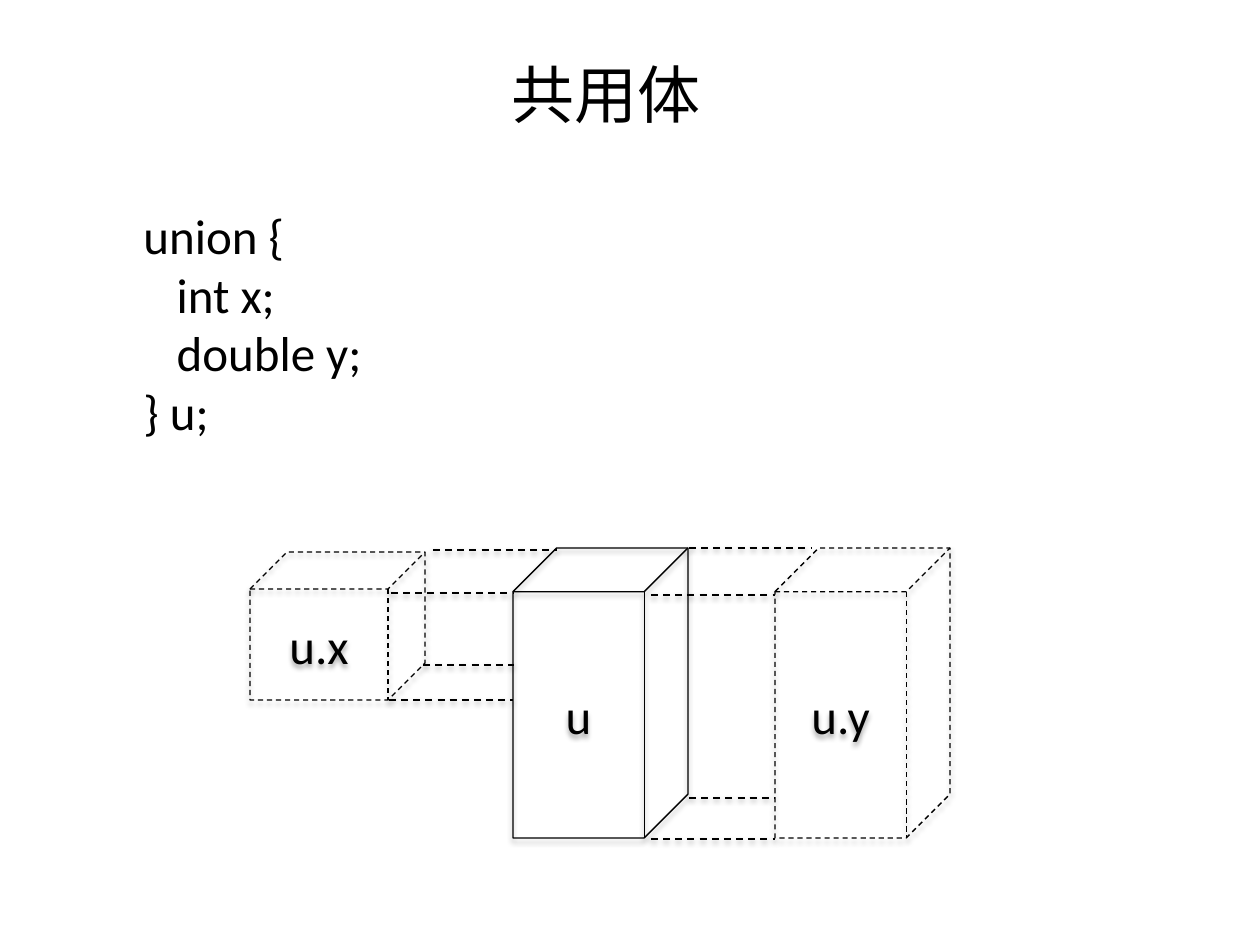
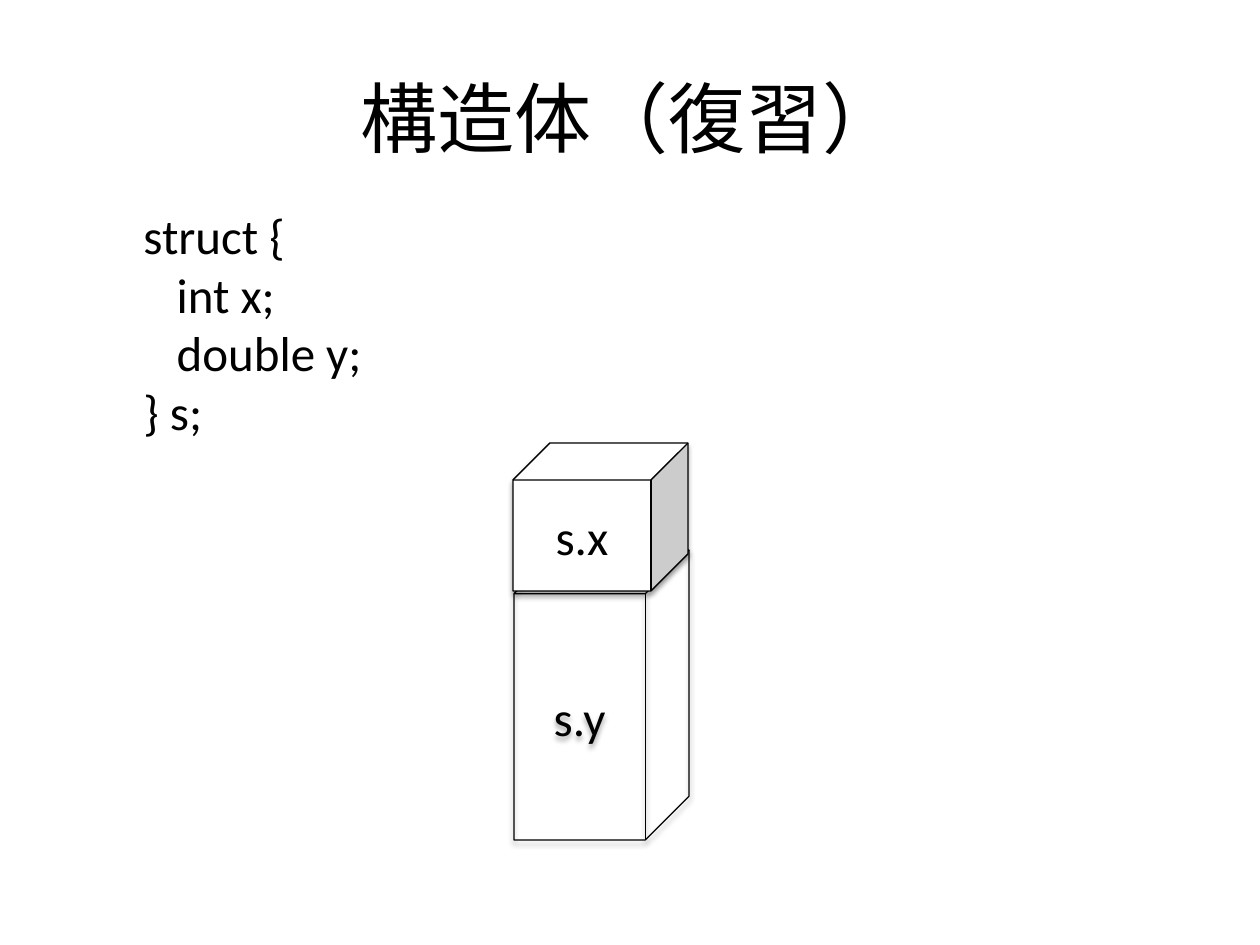
from lxml import etree
from pptx import Presentation
from pptx.dml.color import RGBColor
from pptx.enum.dml import MSO_LINE
from pptx.enum.shapes import MSO_CONNECTOR, MSO_SHAPE
from pptx.enum.text import MSO_ANCHOR, PP_ALIGN
from pptx.oxml.ns import qn
from pptx.util import Emu, Pt

CUBE, LINE = MSO_SHAPE.CUBE, MSO_CONNECTOR.STRAIGHT
DASH = MSO_LINE.DASH
MID, LEFT, CENTER = MSO_ANCHOR.MIDDLE, PP_ALIGN.LEFT, PP_ALIGN.CENTER
HUE = {"ink": "000000", "paper": "FFFFFF"}
FONT = "Calibri"
SIZE = 28
WIDE, TALL, LOW = 175, 290, 148
CODE = (120, 199, 260, 251)
LINKS = [
    (439, 0, 561), (401, 47, 525), (401, 291, 525), (439, 250, 525),
    (183, 2, 307), (141, 45, 264), (139, 152, 263), (173, 117, 264),
]


def px(n):
    """Turn px into EMU."""
    return Emu(round(n * 914400 / 126))


def rgb(name):
    """Look up a colour."""
    return RGBColor.from_string(HUE[name])


def write(shape, text, size, align):
    """Fill a shape with text in the shared style."""
    frame = shape.text_frame
    frame.text = text
    for para in frame.paragraphs:
        para.alignment = align
        for run in para.runs:
            run.font.name = FONT
            run.font.size = Pt(size)
            run.font.color.rgb = rgb("ink")
    return frame


def shade(item, alpha, dist):
    """Give a shape or line a soft shadow below."""
    props = item._element.spPr
    effect = props.find(qn("a:effectLst"))
    if effect is None:
        effect = etree.SubElement(props, qn("a:effectLst"))
    outer = etree.SubElement(
        effect, qn("a:outerShdw"), blurRad=str(Pt(3.1)),
        dist=str(Pt(dist)), dir="5400000", rotWithShape="0")
    tint = etree.SubElement(outer, qn("a:srgbClr"), val=HUE["ink"])
    etree.SubElement(tint, qn("a:alpha"), val=str(alpha * 1000))


def stroke(line, width, dash):
    """Set the outline of a shape or line."""
    line.color.rgb = rgb("ink")
    line.width = Pt(width)
    if dash:
        line.dash_style = DASH


def title(slide, box, text, size):
    """Place a centred title in a box."""
    shape = slide.shapes.add_textbox(*map(px, box))
    frame = write(shape, text, size, CENTER)
    frame.word_wrap = True
    frame.vertical_anchor = MID


def code(slide, box, kind, name):
    """Place the type declaration in a box."""
    rows = [f" {kind} {{", "    int x;", "    double y;", f" }} {name};"]
    shape = slide.shapes.add_textbox(*map(px, box))
    write(shape, "\n".join(rows), SIZE, LEFT).word_wrap = False


def cube(slide, box, text, dash=False, solid=False):
    """Draw a labelled memory block."""
    shape = slide.shapes.add_shape(CUBE, *map(px, box))
    if solid:
        shape.fill.solid()
        shape.fill.fore_color.rgb = rgb("paper")
    else:
        shape.fill.background()
    stroke(shape.line, 0.75, dash)
    shape.shadow.inherit = False
    shade(shape, 35, 1.8)
    write(shape, text, SIZE, CENTER).vertical_anchor = MID


def link(slide, left, right, y):
    """Draw a dashed level guide."""
    line = slide.shapes.add_connector(LINE, px(left), px(y), px(right), px(y))
    stroke(line.line, 1, True)
    shade(line, 38, 1.6)


def union(slide, x, y):
    """Draw members that share one block."""
    cube(slide, (x + 263, y, WIDE, TALL), "u")
    cube(slide, (x + 525, y, WIDE, TALL), "u.y", dash=True)
    cube(slide, (x, y + 4, WIDE, LOW), "u.x", dash=True)
    for start, drop, end in LINKS:
        link(slide, x + start, x + end, y + drop)


def stack(slide, x, y):
    """Draw members one above the other."""
    cube(slide, (x + 1, y + 107, WIDE, TALL), "s.y")
    cube(slide, (x, y, WIDE, LOW), "s.x", solid=True)


def main():
    """Build both slides."""
    deck = Presentation()
    deck.slide_width, deck.slide_height = px(1260), px(945)
    blank = deck.slide_layouts[6]

    slide = deck.slides.add_slide(blank)
    title(slide, (81, 26, 1050, 134), "共用体", 36)
    code(slide, CODE, "union", "u")
    union(slide, 250, 548)

    slide = deck.slides.add_slide(blank)
    title(slide, (63, 38, 1134, 157), "構造体（復習）", 44)
    code(slide, CODE, "struct", "s")
    stack(slide, 513, 443)

    deck.save("out.pptx")


if __name__ == "__main__":
    main()
